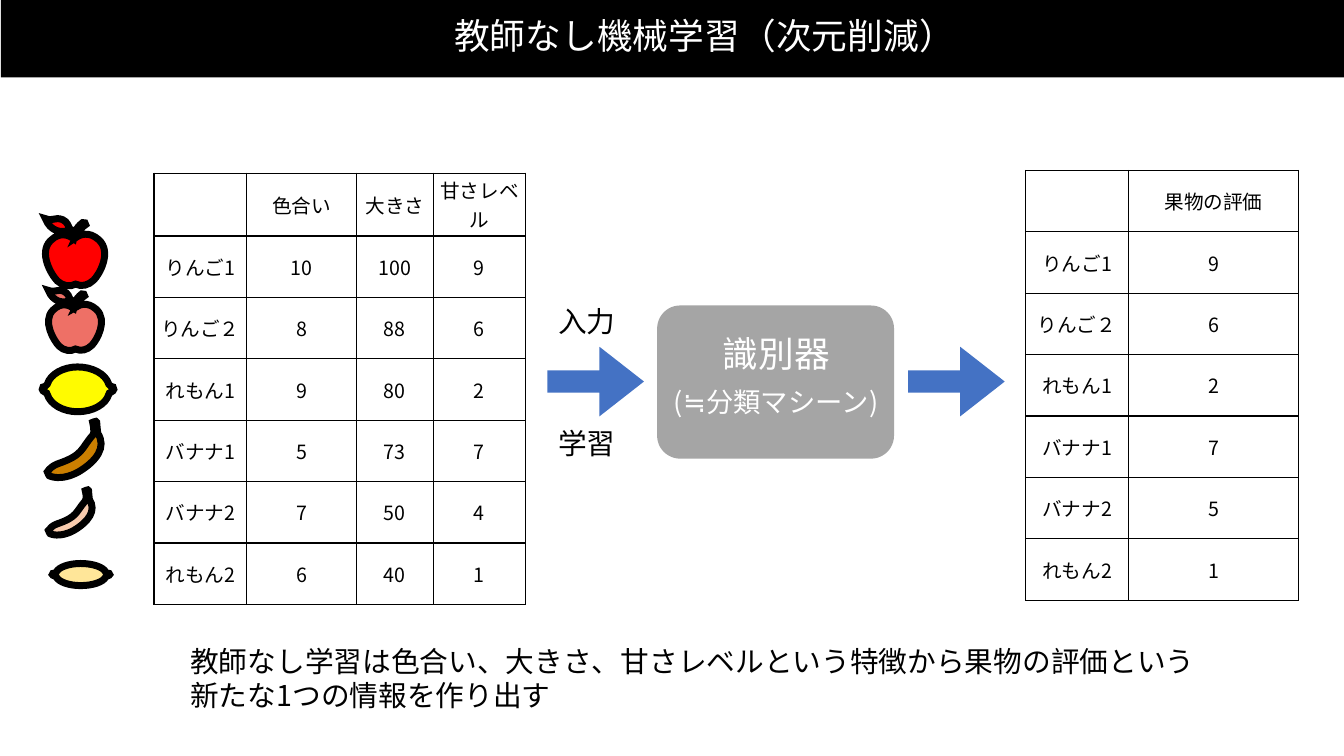
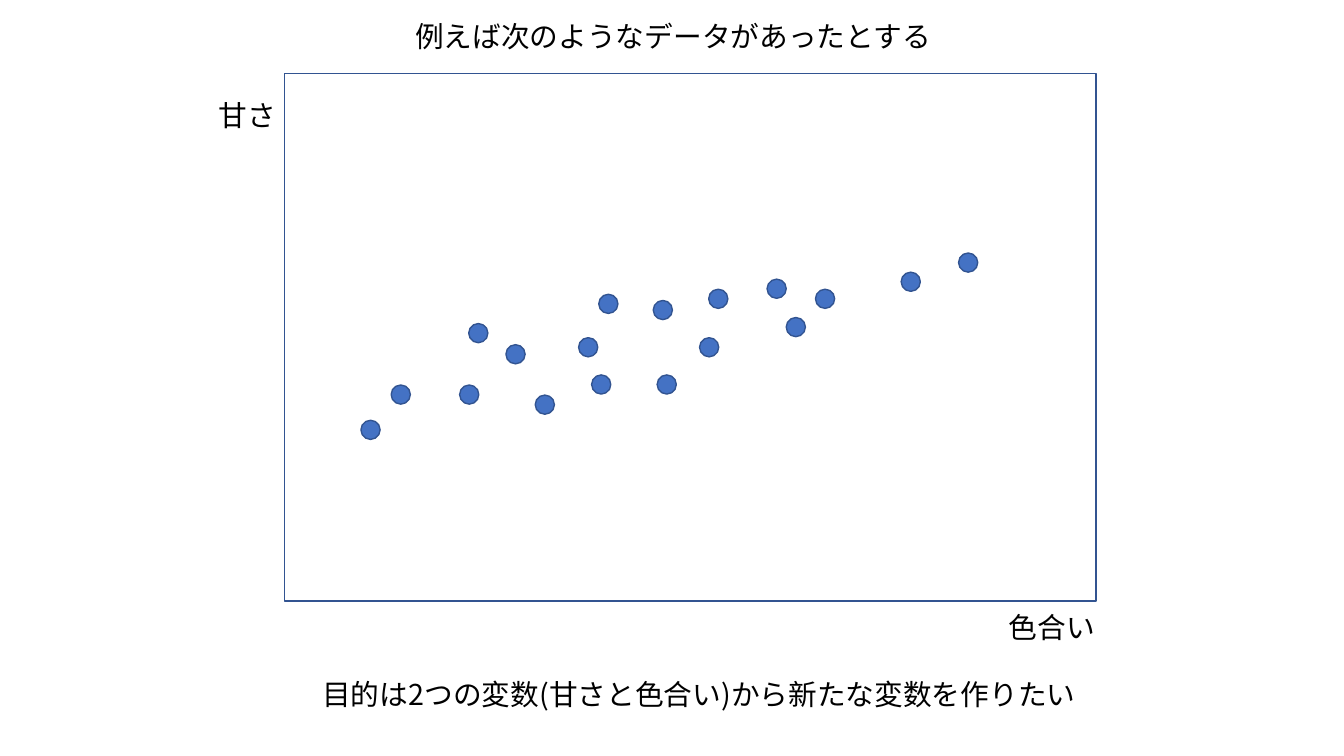
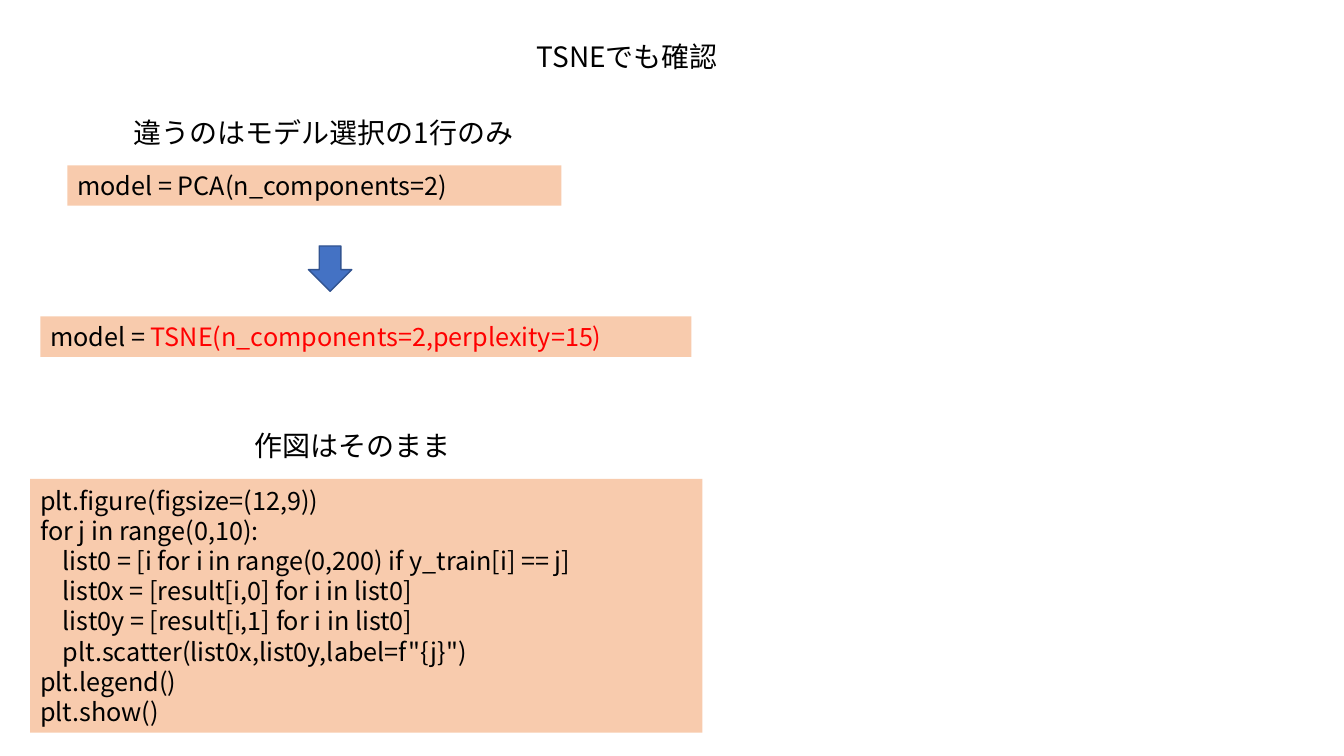
from pptx import Presentation
from pptx.util import Pt
from pptx.dml.color import RGBColor
from pptx.enum.shapes import MSO_SHAPE as KIND
from pptx.enum.text import MSO_ANCHOR, MSO_AUTO_SIZE, PP_ALIGN
from pptx.oxml.ns import qn
from lxml.etree import SubElement

FONT = "Noto Sans CJK JP"
HUES = {
    "black": "000000", "white": "FFFFFF", "blue": "4472C4", "navy": "325491",
    "gray": "A5A5A5", "peach": "F8CBAD", "red": "FF0000", "pink": "EE7066",
    "yellow": "FFFB00", "brown": "CB7F00", "cream": "FFE699",
}
INK = {name: RGBColor.from_string(value) for name, value in HUES.items()}
LEFT, MID = PP_ALIGN.LEFT, PP_ALIGN.CENTER


def write(frame, lines, size, tones=("black",), align=LEFT):
    for index, line in enumerate(lines):
        para = frame.add_paragraph() if index else frame.paragraphs[0]
        para.alignment = align
        para.line_spacing = 1.0
        for text, tone in zip(line, tones):
            run = para.add_run()
            run.text = text
            run.font.size = Pt(size)
            run.font.color.rgb = INK[tone]
            run.font.name = FONT
            SubElement(run.font._element, qn("a:ea")).set("typeface", FONT)


def make(slide, kind, at, fill=None, edge=None):
    area = [Pt(value) for value in at]
    if kind is None:
        shape = slide.shapes.add_textbox(*area)
    else:
        shape = slide.shapes.add_shape(kind, *area)
        shape.shadow.inherit = False
        shape.fill.solid()
        shape.fill.fore_color.rgb = INK[fill]
        if edge:
            shape.line.color.rgb = INK[edge]
            shape.line.width = Pt(1)
        else:
            shape.line.fill.background()
    shape.text_frame.word_wrap = True
    return shape


deck = Presentation()
deck.slide_width, deck.slide_height = Pt(960), Pt(540)

titles = [
    ("教師なし機械学習（次元削減）", 25.5, "white", MID, (316.1, 7.2, 374.4, 35.3)),
    ("例えば次のようなデータがあったとする", 20.5, "black", LEFT, (294.5, 11.5, 376.6, 28.8)),
    ("TSNEでも確認", 20, "black", MID, (278.6, 24.5, 339.1, 31.7)),
]
for text, size, tone, align, at in titles:
    title = deck.slides.add_slide(deck.slide_layouts[5]).shapes.title
    title.left, title.top, title.width, title.height = [Pt(v) for v in at]
    write(title.text_frame, [[text]], size, [tone], align)
fruit, plot, code = deck.slides

head = fruit.shapes.title
head.fill.solid()
head.fill.fore_color.rgb = INK["black"]
band = make(fruit, KIND.RECTANGLE, (0.7, 0, 960, 55.4), "black")
head._element.addprevious(band._element)

names = ["りんご1", "りんご２", "れもん1", "バナナ1", "バナナ2", "れもん2"]
traits = [
    ("10", "100", "9"), ("8", "88", "6"), ("9", "80", "2"),
    ("5", "73", "7"), ("7", "50", "4"), ("6", "40", "1"),
]
scores = ["9", "6", "2", "7", "5", "1"]
tables = [
    (110, 123.8, [66.2, 78.5, 54.7, 66.2],
     [("", "色合い", "大きさ", "甘さレベル")] + [(n, *t) for n, t in zip(names, traits)]),
    (732.6, 121.7, [73.4, 121.7],
     [("", "果物の評価")] + list(zip(names, scores))),
]
ROW = 43.88
for left, top, widths, rows in tables:
    grid = fruit.shapes.add_table(
        len(rows), len(widths), Pt(left), Pt(top), Pt(sum(widths)), Pt(ROW * len(rows))
    ).table
    grid.first_row = grid.horz_banding = False
    for col, width in zip(grid.columns, widths):
        col.width = Pt(width)
    for y, row in enumerate(rows):
        grid.rows[y].height = Pt(ROW)
        for x, text in enumerate(row):
            cell = grid.cell(y, x)
            cell.vertical_anchor = MSO_ANCHOR.MIDDLE
            cell.margin_left = cell.margin_right = Pt(2)
            cell.margin_top = cell.margin_bottom = Pt(2)
            if text:
                write(cell.text_frame, [[text]], 14, align=MID)
            props = cell._tc.get_or_add_tcPr()
            for side in ("lnL", "lnR", "lnT", "lnB"):
                rule = SubElement(props, qn("a:" + side), w=str(Pt(1)))
                solid = SubElement(rule, qn("a:solidFill"))
                SubElement(solid, qn("a:srgbClr"), val=HUES["black"])
            cell.fill.background()

apple = (58, 66, (0, 0), [
    (5, 13, 17, 15, 24, 11), (25, 12, 27, 13, 29, 16), (29, 17, 28, 18, 28, 20),
    (24, 17, 15, 12, 5, 22), (-7, 34, 6, 56, 12, 62), (17, 67, 25, 68, 30, 65),
    (36, 68, 43, 66, 48, 61), (54, 55, 66, 33, 53, 21), (43, 12, 34, 16, 30, 19),
    (32, 14, 35, 9, 40, 6), (41, 5, 38, 3, 37, 4), (33, 7, 31, 10, 29, 14),
    (27, 12, 25, 10, 24, 10), (23, 8, 22, 3, 17, 1), (9, -2, 8, 3, 0, 0),
])
lemon = (71, 44, (35, 0), [
    (21, 0, 8, 7, 5, 17), (5, 18, 4, 18, 3, 19), (1, 19, 0, 20, 0, 22),
    (0, 23, 1, 24, 3, 25), (4, 25, 5, 26, 5, 27), (8, 37, 21, 44, 35, 44),
    (50, 44, 63, 37, 66, 27), (66, 26, 67, 25, 68, 25), (70, 24, 71, 23, 71, 22),
    (71, 20, 70, 19, 68, 19), (67, 18, 66, 18, 66, 17), (63, 7, 50, 0, 35, 0),
])
nana = (53, 57, (48, 0), [
    (47, 0, 45, 1, 45, 1), (47, 10, 46, 13, 45, 14), (33, 28, 36, 34, 10, 43),
    (5, 45, 2, 48, 0, 51), (1, 54, 2, 55, 2, 55), (2, 55, 13, 61, 31, 51),
    (49, 40, 59, 26, 50, 12), (50, 12, 49, 3, 49, 1), (49, 0, 48, 0, 48, 0),
])
icons = [
    (apple, "red", (32.4, 156.2, 41.8, 47.5)),
    (apple, "pink", (34.6, 207.4, 37.4, 42.5)),
    (lemon, "yellow", (30.2, 262.1, 51.1, 32)),
    (nana, "brown", (33.8, 301, 38.2, 40.3)),
    (nana, "peach", (34.6, 349.9, 31, 32.4)),
    (lemon, "cream", (37.4, 402.5, 41, 15.8)),
]
for (wide, high, start, curves), tone, (left, top, width, height) in icons:
    dots = [start]
    for curve in curves:
        dots += zip(curve[::2], curve[1::2])
    spots = [(Pt(left + x * width / wide), Pt(top + y * height / high)) for x, y in dots]
    draft = fruit.shapes.build_freeform(*spots[0])
    draft.add_line_segments(spots[3::3], close=True)
    icon = draft.convert_to_shape()
    bends = zip(spots[1::3], spots[2::3])
    for side, bend in zip(list(icon._element.iter(qn("a:lnTo"))), bends):
        side.tag = qn("a:cubicBezTo")
        for index, (x, y) in enumerate(bend):
            spot = SubElement(side, qn("a:pt"), x=str(x - icon.left), y=str(y - icon.top))
            side.insert(index, spot)
    icon.shadow.inherit = False
    icon.fill.solid()
    icon.fill.fore_color.rgb = INK[tone]
    icon.line.color.rgb = INK["black"]
    icon.line.width = Pt(5)
    SubElement(icon.line._ln, qn("a:miter"), lim="800000")

for left in (391, 648.7):
    arrow = make(fruit, KIND.RIGHT_ARROW, (left, 247.7, 69, 49.7), "blue")
    arrow.adjustments[0], arrow.adjustments[1] = 0.32, 0.64
panel = make(fruit, KIND.ROUNDED_RECTANGLE, (469.4, 218.2, 169.2, 109.4), "gray")
panel.adjustments[0] = 0.15

make(plot, KIND.RECTANGLE, (203.2, 52.7, 579.6, 376.6), "white", "navy")
points = [
    (328.3, 275), (413.3, 241.2), (361.4, 246.2), (422.6, 267.8), (466.6, 214.6),
    (506.2, 206.6), (561.6, 226.8), (582.5, 206.6), (382.3, 282.2), (427.7, 210.2),
    (469.4, 267.8), (499.7, 241.2), (257.8, 300.2), (279.4, 275), (334.8, 231.1),
    (643.7, 194.4), (547.9, 199.4), (684.7, 180.7),
]
for x, y in points:
    make(plot, KIND.OVAL, (x, y, 13.7, 13.7), "blue", "navy")

notes = [
    (fruit, ["識別器"], 25.5, "white", MID, (437.8, 234.7, 233.3, 35.3)),
    (fruit, ["(≒分類マシーン)"], 19.5, "white", MID, (437.8, 272.9, 233.3, 27.4)),
    (fruit, ["学習"], 20.5, "black", LEFT, (396.7, 302.4, 46, 28.8)),
    (fruit, ["入力"], 20.5, "black", LEFT, (396.7, 214.6, 46, 28.8)),
    (fruit, ["教師なし学習は色合い、大きさ、甘さレベルという特徴から果物の評価という",
             "新たな1つの情報を作り出す"], 20.5, "black", LEFT, (133.9, 457.2, 728.6, 54)),
    (plot, ["目的は2つの変数(甘さと色合い)から新たな変数を作りたい"],
     20.5, "black", LEFT, (228.2, 481, 569, 28.8)),
    (plot, ["色合い"], 20.5, "black", LEFT, (718.6, 433.4, 67, 28.8)),
    (plot, ["甘さ"], 20.5, "black", LEFT, (154.1, 67.7, 46, 28.8)),
    (code, ["違うのはモデル選択の1行のみ"], 20, "black", MID, (77, 79.2, 308.2, 31.7)),
    (code, ["作図はそのまま"], 20, "black", MID, (118.1, 302.4, 267.1, 31.7)),
]
for slide, lines, size, tone, align, at in notes:
    note = make(slide, None, at)
    write(note.text_frame, [[line] for line in lines], size, [tone], align)

blocks = [
    ((48.2, 118.1, 352.8, 28.8), [["model = PCA(n_components=2)"]]),
    ((28.8, 226.1, 465.1, 28.8), [["model = ", "TSNE(n_components=2,perplexity=15)"]]),
    ((21.6, 342, 480.2, 181.4), [
        ["plt.figure(figsize=(12,9))"],
        ["for j in range(0,10):"],
        ["    list0 = [i for i in range(0,200) if y_train[i] == j]"],
        ["    list0x = [result[i,0] for i in list0]"],
        ["    list0y = [result[i,1] for i in list0]"],
        ["    plt.scatter(list0x,list0y,label=f\"{j}\")"],
        ["plt.legend()"],
        ["plt.show()"],
    ]),
]
for at, lines in blocks:
    block = make(code, KIND.RECTANGLE, at, "peach")
    write(block.text_frame, lines, 18, ["black", "red"])
make(code, KIND.DOWN_ARROW, (220.3, 175.7, 31, 32.4), "blue", "navy")

for slide in deck.slides:
    for shape in slide.shapes:
        if shape.has_text_frame:
            frame = shape.text_frame
            frame.auto_size = MSO_AUTO_SIZE.NONE
            if slide.slide_id != code.slide_id:
                frame.vertical_anchor = MSO_ANCHOR.MIDDLE
                frame.margin_left = frame.margin_right = Pt(2)
                frame.margin_top = frame.margin_bottom = Pt(2)

deck.save("out.pptx")
